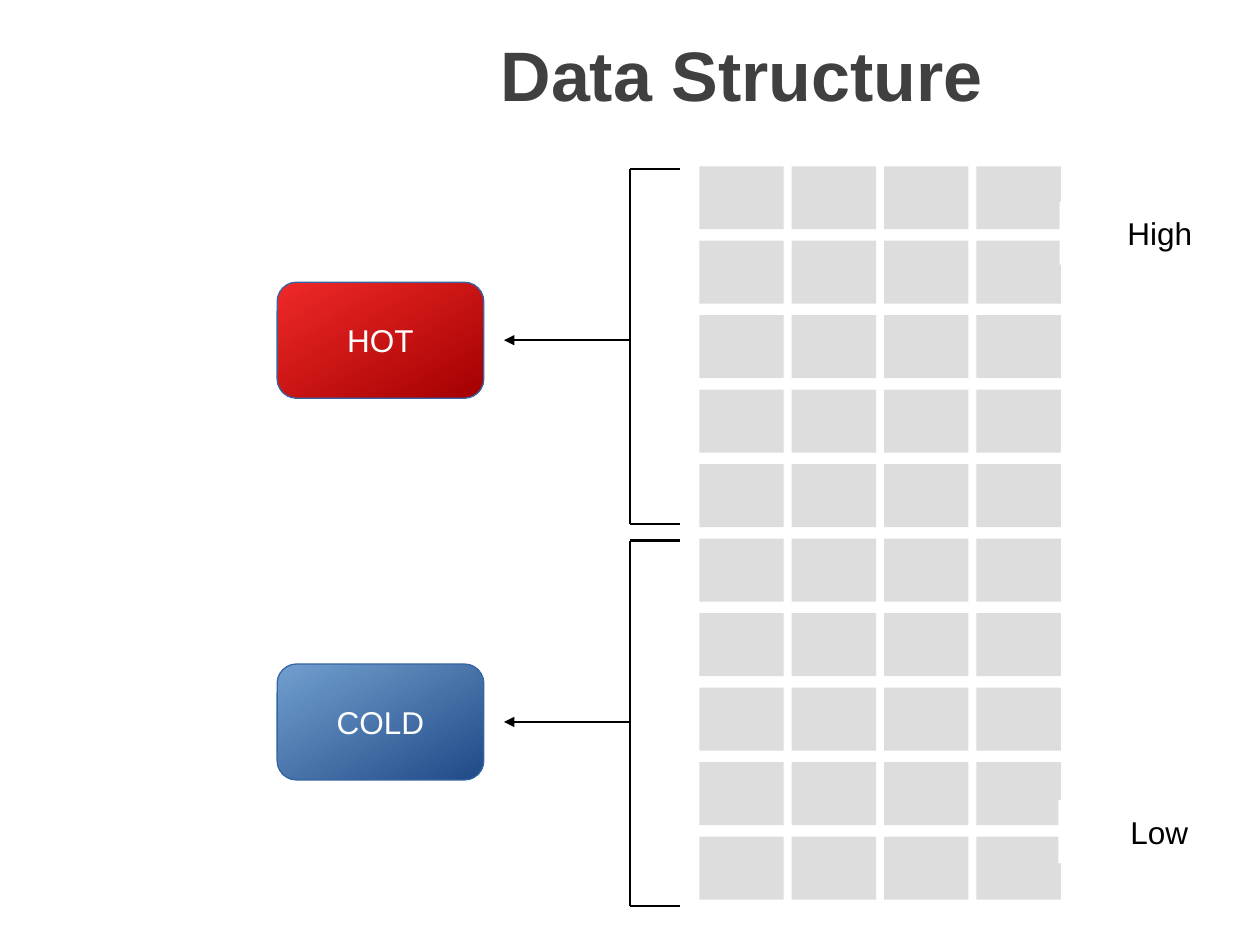
import pptx
import pptx.util
import pptx.dml.color
import pptx.enum.shapes
import pptx.enum.text
import pptx.oxml
import pptx.oxml.ns
from dataclasses import dataclass
from typing import NamedTuple

SHAPE = pptx.enum.shapes.MSO_SHAPE
STRAIGHT = pptx.enum.shapes.MSO_CONNECTOR.STRAIGHT
inch = pptx.util.Inches


@dataclass(frozen=True)
class Theme:
    font: str = "Arial"
    title_size: float = 40
    label_size: float = 18
    line_width: float = 1.45
    border_width: float = 0.75
    title: str = "404040"
    ink: str = "000000"
    paper: str = "FFFFFF"
    cell: str = "DDDDDD"
    border: str = "3465A4"
    hot: tuple = ("EF2929", "A40000")
    cold: tuple = ("729FCF", "204A87")


class Box(NamedTuple):
    left: float
    top: float
    width: float
    height: float

    def lengths(self):
        return [inch(value) for value in self]

    @property
    def middle(self):
        return self.top + self.height / 2


THEME = Theme()
WIDTH, HEIGHT = 10, 7.5
ROWS, COLUMNS = 10, 4
CELL_WIDTH, CELL_HEIGHT = 0.67, 0.5


def rgb(value):
    return pptx.dml.color.RGBColor.from_string(value)


def write(shape, text, size, color, bold=False, wrap=False):
    frame = shape.text_frame
    frame.auto_size = pptx.enum.text.MSO_AUTO_SIZE.NONE
    frame.word_wrap = wrap
    frame.vertical_anchor = pptx.enum.text.MSO_ANCHOR.MIDDLE
    para = frame.paragraphs[0]
    para.alignment = pptx.enum.text.PP_ALIGN.CENTER
    span = para.add_run()
    span.text = text
    span.font.name = THEME.font
    span.font.size = pptx.util.Pt(size)
    span.font.bold = bold
    span.font.color.rgb = rgb(color)


def add_block(page, box, fill, kind=SHAPE.RECTANGLE):
    block = page.shapes.add_shape(kind, *box.lengths())
    block.shadow.inherit = False
    block.fill.solid()
    block.fill.fore_color.rgb = rgb(fill)
    block.line.fill.background()
    return block


def add_line(page, start, end, arrow=False):
    line = page.shapes.add_connector(
        STRAIGHT, *[inch(value) for value in (*start, *end)])
    line.line.color.rgb = rgb(THEME.ink)
    line.line.width = pptx.util.Pt(THEME.line_width)
    properties = line._element.spPr
    if arrow:
        outline = line.line._get_or_add_ln()
        tail = pptx.oxml.ns.qn("a:tailEnd")
        outline.append(outline.makeelement(tail, {"type": "triangle"}))
    effects = pptx.oxml.ns.qn("a:effectLst")
    properties.append(properties.makeelement(effects, {}))


def add_title(page, box, text):
    title = page.shapes.title
    title.left, title.top, title.width, title.height = box.lengths()
    write(title, text, THEME.title_size, THEME.title, bold=True, wrap=True)


def add_grid(page, box):
    column_step = (box.width - CELL_WIDTH) / (COLUMNS - 1)
    row_step = (box.height - CELL_HEIGHT) / (ROWS - 1)
    for row in range(ROWS):
        for column in range(COLUMNS):
            cell = Box(box.left + column * column_step,
                       box.top + row * row_step, CELL_WIDTH, CELL_HEIGHT)
            add_block(page, cell, THEME.cell)


def add_bracket(page, box, arrow_length, arrow_height):
    right, bottom = box.left + box.width, box.top + box.height
    for height in (box.top, bottom):
        add_line(page, (box.left, height), (right, height))
    add_line(page, (box.left, bottom), (box.left, box.top))
    add_line(page, (box.left, arrow_height),
             (box.left - arrow_length, arrow_height), arrow=True)


def add_tag(page, box, text, colors):
    tag = add_block(page, box, colors[0], SHAPE.ROUNDED_RECTANGLE)
    tag.fill.gradient()
    tag.fill.gradient_angle = 300
    for stop, color, position in zip(tag.fill.gradient_stops, colors, (0, 1)):
        stop.color.rgb = rgb(color)
        stop.position = position
    tag.line.color.rgb = rgb(THEME.border)
    tag.line.width = pptx.util.Pt(THEME.border_width)
    write(tag, text, THEME.label_size, THEME.paper)


def add_label(page, box, text):
    label = add_block(page, box, THEME.paper)
    write(label, text, THEME.label_size, THEME.ink)


def main():
    deck = pptx.Presentation()
    deck.slide_width, deck.slide_height = inch(WIDTH), inch(HEIGHT)
    page = deck.slides.add_slide(deck.slide_layouts[5])

    # Title and the grid of data blocks
    add_title(page, Box(1.77, 0, WIDTH - 1.77, 1.17), "Data Structure")
    add_grid(page, Box(5.55, 1.32, 2.87, 5.82))

    # Each half of the grid points to its tag
    groups = [
        ("HOT", THEME.hot, Box(2.2, 2.24, 1.64, 0.92), Box(5, 1.34, 0.4, 2.82)),
        ("COLD", THEME.cold, Box(2.2, 5.27, 1.64, 0.92), Box(5, 4.29, 0.4, 2.9)),
    ]
    for text, colors, tag, bracket in groups:
        add_bracket(page, bracket, 1, tag.middle)
        add_tag(page, tag, text, colors)

    # Ends of the scale
    for text, left, top in (("High", 8.41, 1.6), ("Low", 8.4, 6.35)):
        add_label(page, Box(left, top, WIDTH - left, CELL_HEIGHT), text)

    deck.save("out.pptx")


if __name__ == "__main__":
    main()
